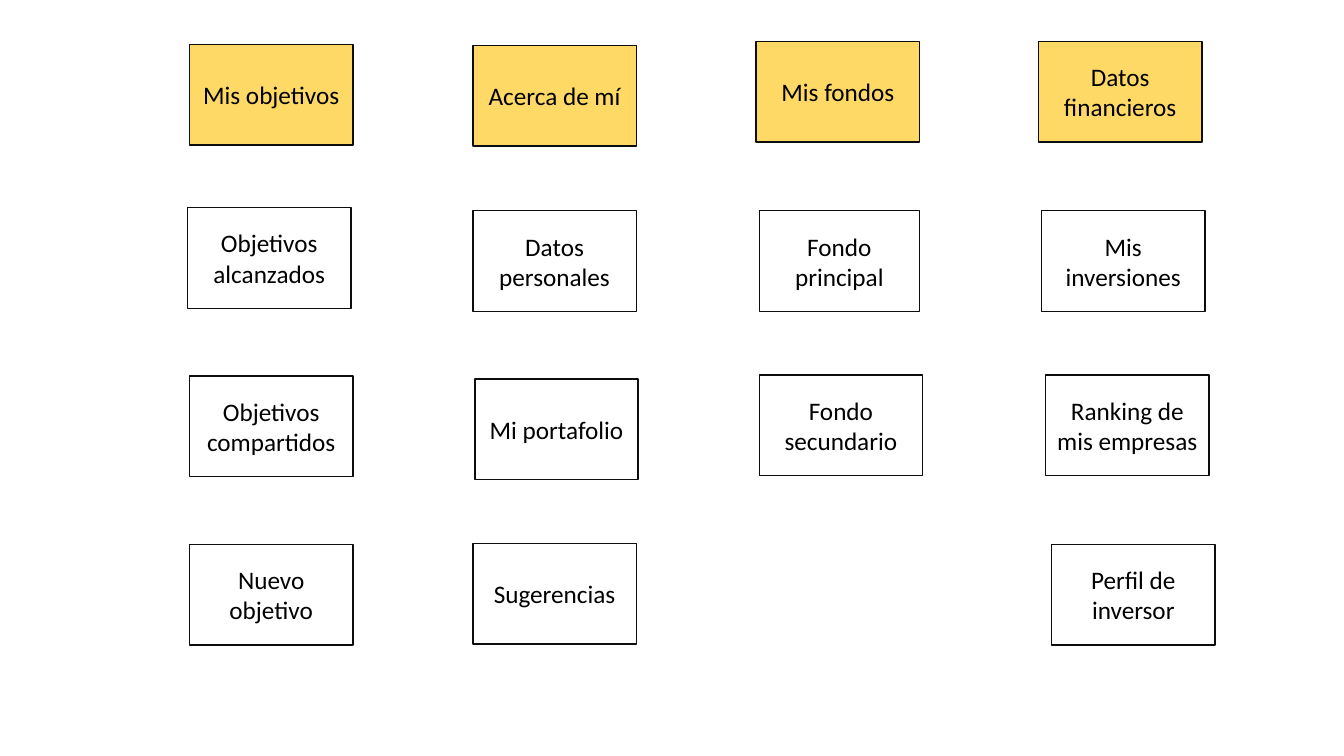
import pptx
import pptx.dml.color
import pptx.enum.shapes
import pptx.enum.text
import pptx.util

Inches = pptx.util.Inches

COLORS = {"head": "FFD966", "line": "0D0D0D", "text": "000000"}
WIDTH, HEIGHT = 1.62, 1

# Each column lists its heading first, then its pages: text, left, top.
COLUMNS = [
    [("Mis objetivos", 1.88, 0.44),
     ("Objetivos alcanzados", 1.86, 2.06),
     ("Objetivos compartidos", 1.88, 3.73),
     ("Nuevo objetivo", 1.88, 5.4)],
    [("Acerca de mí", 4.69, 0.45),
     ("Datos personales", 4.69, 2.09),
     ("Mi portafolio", 4.71, 3.76),
     ("Sugerencias", 4.69, 5.39)],
    [("Mis fondos", 7.5, 0.41),
     ("Fondo principal", 7.53, 2.09, 1.59),
     ("Fondo secundario", 7.53, 3.72)],
    [("Datos financieros", 10.3, 0.41),
     ("Mis inversiones", 10.33, 2.09),
     ("Ranking de mis empresas", 10.37, 3.72),
     ("Perfil de inversor", 10.43, 5.4)],
]


def color(name):
    """Return the named colour."""
    return pptx.dml.color.RGBColor.from_string(COLORS[name])


class Board:
    """Holds the style and the current slide."""

    font = "Calibri"
    size = pptx.util.Pt(18)
    stroke = pptx.util.Pt(1)

    def __init__(self, slide):
        """Keep the slide to draw on."""
        self.slide = slide

    def card(self, text, left, top, width=WIDTH, fill=None):
        """Add an outlined box with centred text."""
        box = self.slide.shapes.add_shape(
            pptx.enum.shapes.MSO_SHAPE.RECTANGLE,
            Inches(left), Inches(top), Inches(width), Inches(HEIGHT))
        box.shadow.inherit = False
        if fill:
            box.fill.solid()
            box.fill.fore_color.rgb = color(fill)
        else:
            box.fill.background()
        box.line.color.rgb = color("line")
        box.line.width = self.stroke
        self.label(box.text_frame, text)

    def label(self, frame, text):
        """Write and format the text of a box."""
        frame.text = text
        frame.word_wrap = True
        frame.vertical_anchor = pptx.enum.text.MSO_ANCHOR.MIDDLE
        para = frame.paragraphs[0]
        para.alignment = pptx.enum.text.PP_ALIGN.CENTER
        font = para.runs[0].font
        font.name = self.font
        font.size = self.size
        font.color.rgb = color("text")


def main():
    """Build the slide and save it."""
    deck = pptx.Presentation()
    deck.slide_width = Inches(13.33)
    deck.slide_height = Inches(7.5)
    board = Board(deck.slides.add_slide(deck.slide_layouts[6]))
    for head, *pages in COLUMNS:
        board.card(*head, fill="head")
        for page in pages:
            board.card(*page)
    deck.save("out.pptx")


main()
